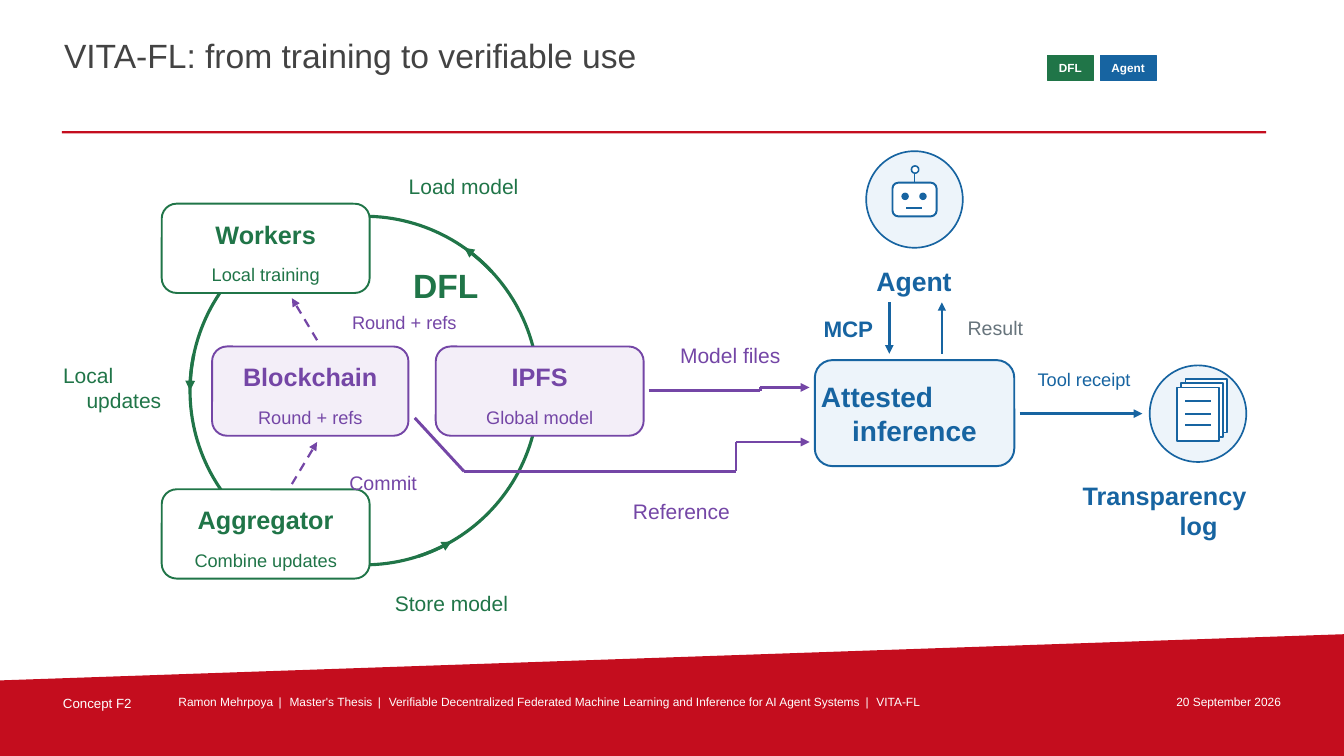
from dataclasses import dataclass
from itertools import pairwise
from math import cos, radians, sin

from pptx import Presentation
from pptx.dml.color import RGBColor
from pptx.enum.dml import MSO_LINE
from pptx.enum.shapes import MSO_CONNECTOR, MSO_SHAPE
from pptx.enum.text import MSO_ANCHOR, PP_ALIGN
from pptx.oxml.ns import qn
from pptx.util import Pt

SCALE = 9525  # EMU per px


@dataclass(frozen=True)
class Theme:
    font: str = "Arial"
    white: str = "FFFFFF"
    ink: str = "434343"
    gray: str = "67747C"
    red: str = "C40D1E"
    green: str = "207548"
    purple: str = "7446A6"
    lilac: str = "F3EEF8"
    blue: str = "1764A1"
    ice: str = "EDF4FA"
    title: float = 24
    inference: float = 20
    agent: float = 19
    name: float = 18
    protocol: float = 16
    label: float = 15
    note: float = 14
    detail: float = 13
    concept: float = 9.5
    footer: float = 8.5
    badge: float = 8.4


@dataclass(frozen=True)
class Box:
    left: float
    top: float
    width: float
    height: float

    def inside(self, x, y, width, height):
        return Box(self.left + x, self.top + y, width, height)

    def points(self, *offsets):
        return [(self.left + x, self.top + y) for x, y in offsets]

    def emu(self):
        return [px(v) for v in (self.left, self.top, self.width, self.height)]


THEME = Theme()
LEFT, CENTER, RIGHT = PP_ALIGN.LEFT, PP_ALIGN.CENTER, PP_ALIGN.RIGHT


def px(value):
    return round(value * SCALE)


def apply(target, values):
    for name, value in values.items():
        setattr(target, name, value)


def add_span(para, text, size, color, bold=False):
    span = para.add_run()
    span.text = text
    apply(span.font, {"name": THEME.font, "size": Pt(size), "bold": bold})
    span.font.color.rgb = RGBColor.from_string(color)
    return span


def set_frame(shape, inset=0, anchor=MSO_ANCHOR.MIDDLE):
    margins = {f"margin_{side}": px(inset) for side in ("left", "top", "right", "bottom")}
    apply(shape.text_frame, {"word_wrap": True, "vertical_anchor": anchor, **margins})
    return shape.text_frame


def write(shape, text, size, color, bold=False, align=CENTER, inset=0, anchor=MSO_ANCHOR.MIDDLE):
    """Only the last line of a centred text is centred; lines above start at the left."""
    frame = set_frame(shape, inset, anchor)
    *upper, last = text.split("\n")
    for index, line in enumerate([*upper, last]):
        para = frame.add_paragraph() if index else frame.paragraphs[0]
        para.alignment = align if index == len(upper) else LEFT
        add_span(para, line, size, color, bold)


def add_label(page, box, text, size, color, **style):
    write(page.shapes.add_textbox(*box.emu()), text, size, color, **style)


def finish(shape, fill, line=None, width=1.0):
    shape.shadow.inherit = False
    shape.fill.solid()
    shape.fill.fore_color.rgb = RGBColor.from_string(fill)
    if line:
        shape.line.color.rgb = RGBColor.from_string(line)
        shape.line.width = Pt(width)
    else:
        shape.line.fill.background()
    return shape


def add_form(page, kind, box, fill, line=None, width=1.0):
    return finish(page.shapes.add_shape(kind, *box.emu()), fill, line, width)


def add_route(page, points, color, width, arrow=True, dashed=False):
    for start, end in pairwise(points):
        part = page.shapes.add_connector(MSO_CONNECTOR.STRAIGHT, *map(px, (*start, *end)))
        part.line.color.rgb = RGBColor.from_string(color)
        part.line.width = Pt(width)
        if dashed:
            part.line.dash_style = MSO_LINE.DASH
        properties = part._element.spPr
        if arrow and end == points[-1]:
            tip = properties.find(qn("a:ln")).makeelement(qn("a:tailEnd"), {"type": "triangle"})
            properties.find(qn("a:ln")).append(tip)
        properties.append(properties.makeelement(qn("a:effectLst"), {}))


def draw_header(page, box):
    add_label(page, box.inside(59, 31, 926, 60), "VITA-FL: from training to verifiable use",
              THEME.title, THEME.ink, align=LEFT, inset=2, anchor=MSO_ANCHOR.TOP)
    add_form(page, MSO_SHAPE.RECTANGLE, box.inside(59, 125, 1147, 2), THEME.red)
    for text, x, width, color in (("DFL", 998, 43, THEME.green), ("Agent", 1048, 53, THEME.blue)):
        badge = add_form(page, MSO_SHAPE.RECTANGLE, box.inside(x, 53, width, 24), color, color, 0.55)
        write(badge, text, THEME.badge, THEME.white, bold=True)


def draw_footer(page, box):
    corners = box.points((0, 48), (1280, 4), (1280, 120), (0, 120))
    builder = page.shapes.build_freeform(*map(px, corners[0]), scale=1.0)
    builder.add_line_segments([(px(x), px(y)) for x, y in corners[1:]], close=True)
    finish(builder.convert_to_shape(), THEME.red)

    style = {"inset": 2, "anchor": MSO_ANCHOR.TOP}
    add_label(page, box.inside(58, 60, 96, 21), "Concept F2", THEME.concept, THEME.white, align=LEFT, **style)
    add_label(page, box.inside(1075, 60, 147, 21), "20 September 2026", THEME.footer, THEME.white,
              align=RIGHT, **style)
    # Credits, with widely tracked separators
    credits = ("Ramon Mehrpoya", "Master's Thesis",
               "Verifiable Decentralized Federated Machine Learning and Inference for AI Agent Systems", "VITA-FL")
    para = set_frame(page.shapes.add_textbox(*box.inside(168, 60, 898, 21).emu()), **style).paragraphs[0]
    for index, credit in enumerate(credits):
        if index:
            separator = add_span(para, " | ", THEME.footer, THEME.white)
            separator.font._element.set("spc", "157")
        add_span(para, credit, THEME.footer, THEME.white)


def draw_node(page, box, name, detail, color, fill):
    node = add_form(page, MSO_SHAPE.ROUNDED_RECTANGLE, box, fill, color, 1.35)
    write(node, name, THEME.name, color, bold=True)
    node.text_frame.margin_top = px(7)
    para = node.text_frame.add_paragraph()
    apply(para, {"alignment": CENTER, "space_before": Pt(10)})
    add_span(para, detail, THEME.detail, color)


def draw_training_loop(page, box):
    green, purple = THEME.green, THEME.purple
    # Cycle and its direction arrows
    radius, sweep, steps = 166, 12, 8
    add_form(page, MSO_SHAPE.OVAL, box.inside(121, 46, 2 * radius, 2 * radius), THEME.white, green, 2.25)
    for end in (180, 60, -55):
        angles = [radians(end + sweep * (1 - step / steps)) for step in range(steps + 1)]
        arc = [(121 + radius + radius * cos(a), 46 + radius + radius * sin(a)) for a in angles]
        add_route(page, box.points(*arc), green, 2.35)
    # Nodes
    for x, row, width, name, detail, color, fill in (
            (94, 0, 198, "Workers", "Local training", green, THEME.white),
            (94, 2, 198, "Aggregator", "Combine updates", green, THEME.white),
            (355, 1, 198, "IPFS", "Global model", purple, THEME.lilac),
            (142, 1, 187, "Blockchain", "Round + refs", purple, THEME.lilac)):
        draw_node(page, box.inside(x, 34 + 136 * row, width, 85), name, detail, color, fill)
    # Exchange with the blockchain
    for start, end in (((242, 164), (218, 124)), ((218, 301), (242, 261))):
        add_route(page, box.points(start, end), purple, 1.6, dashed=True)
    # Labels
    add_label(page, box.inside(311, 92, 107, 38), "DFL", THEME.title, green, bold=True)
    for x, y, width, height, text, size, color in (
            (0, 177, 116, 64, "Local\nupdates", THEME.label, green),
            (299, 1, 165, 33, "Load model", THEME.label, green),
            (280, 399, 180, 31, "Store model", THEME.label, green),
            (251, 133, 148, 27, "Round + refs", THEME.detail, purple),
            (253, 286, 104, 27, "Commit", THEME.note, purple)):
        add_label(page, box.inside(x, y, width, height), text, size, color)


def draw_handover(page, box):
    for route in (((223, 52), (329, 52), (329, 49), (376, 49)),
                  ((0, 78), (47, 129), (306, 129), (306, 101), (376, 101))):
        add_route(page, box.points(*route), THEME.purple, 2.1)
    for x, y, width, text in ((230, 3, 141, "Model files"), (186, 151, 136, "Reference")):
        add_label(page, box.inside(x, y, width, 31), text, THEME.label, THEME.purple)


def draw_robot(page, box):
    blue, white, oval = THEME.blue, THEME.white, MSO_SHAPE.OVAL
    add_form(page, oval, box, THEME.ice, blue, 1.2)
    add_form(page, MSO_SHAPE.ROUNDED_RECTANGLE, box.inside(25, 30, 42, 32), white, blue, 1.4)
    for x in (34, 51):
        add_form(page, oval, box.inside(x, 40, 6, 6), blue, blue, 0.8)
    for line in (((38, 54), (53, 54)), ((46, 30), (46, 21))):
        add_route(page, box.points(*line), blue, 1.2, arrow=False)
    add_form(page, oval, box.inside(43, 14, 7, 7), white, blue, 1.1)


def draw_log(page, box):
    add_form(page, MSO_SHAPE.OVAL, box, THEME.ice, THEME.blue, 1.2)
    for shift in (8, 4, 0):
        add_form(page, MSO_SHAPE.RECTANGLE, box.inside(26 + shift, 21 - shift, 40, 51), THEME.white, THEME.blue, 1.2)
    for y in (34, 46, 57):
        add_route(page, box.points((34, y), (58, y)), THEME.blue, 1.2, arrow=False)


def draw_inference(page, box):
    blue = THEME.blue
    service = add_form(page, MSO_SHAPE.ROUNDED_RECTANGLE, box.inside(16, 203, 190, 101), THEME.ice, blue, 1.4)
    write(service, "Attested\ninference", THEME.inference, blue, bold=True, inset=1)
    draw_robot(page, box.inside(65, 4, 92, 92))
    draw_log(page, box.inside(335, 208, 92, 92))
    # Calls between agent, service and log
    for start, end, width in (((87, 148), (87, 197), 2.1), ((137, 197), (137, 148), 1.5),
                              ((211, 254), (328, 254), 2.1)):
        add_route(page, box.points(start, end), blue, width)
    # Labels
    for x, y, width, height, text, size, color, bold in (
            (0, 109, 221, 36, "Agent", THEME.agent, blue, True),
            (17, 158, 62, 29, "MCP", THEME.protocol, blue, True),
            (150, 158, 76, 29, "Result", THEME.note, THEME.gray, False),
            (214, 205, 117, 32, "Tool receipt", THEME.detail, blue, False),
            (271, 312, 221, 69, "Transparency\nlog", THEME.name, blue, True)):
        add_label(page, box.inside(x, y, width, height), text, size, color, bold=bold)


def main():
    deck = Presentation()
    apply(deck, {"slide_width": px(1280), "slide_height": px(720)})
    page = deck.slides.add_slide(deck.slide_layouts[6])
    draw_footer(page, Box(0, 600, 1280, 120))
    draw_header(page, Box(0, 0, 1280, 140))
    draw_training_loop(page, Box(60, 160, 560, 440))
    draw_handover(page, Box(395, 320, 380, 185))
    draw_inference(page, Box(760, 140, 500, 400))
    deck.save("out.pptx")


if __name__ == "__main__":
    main()
